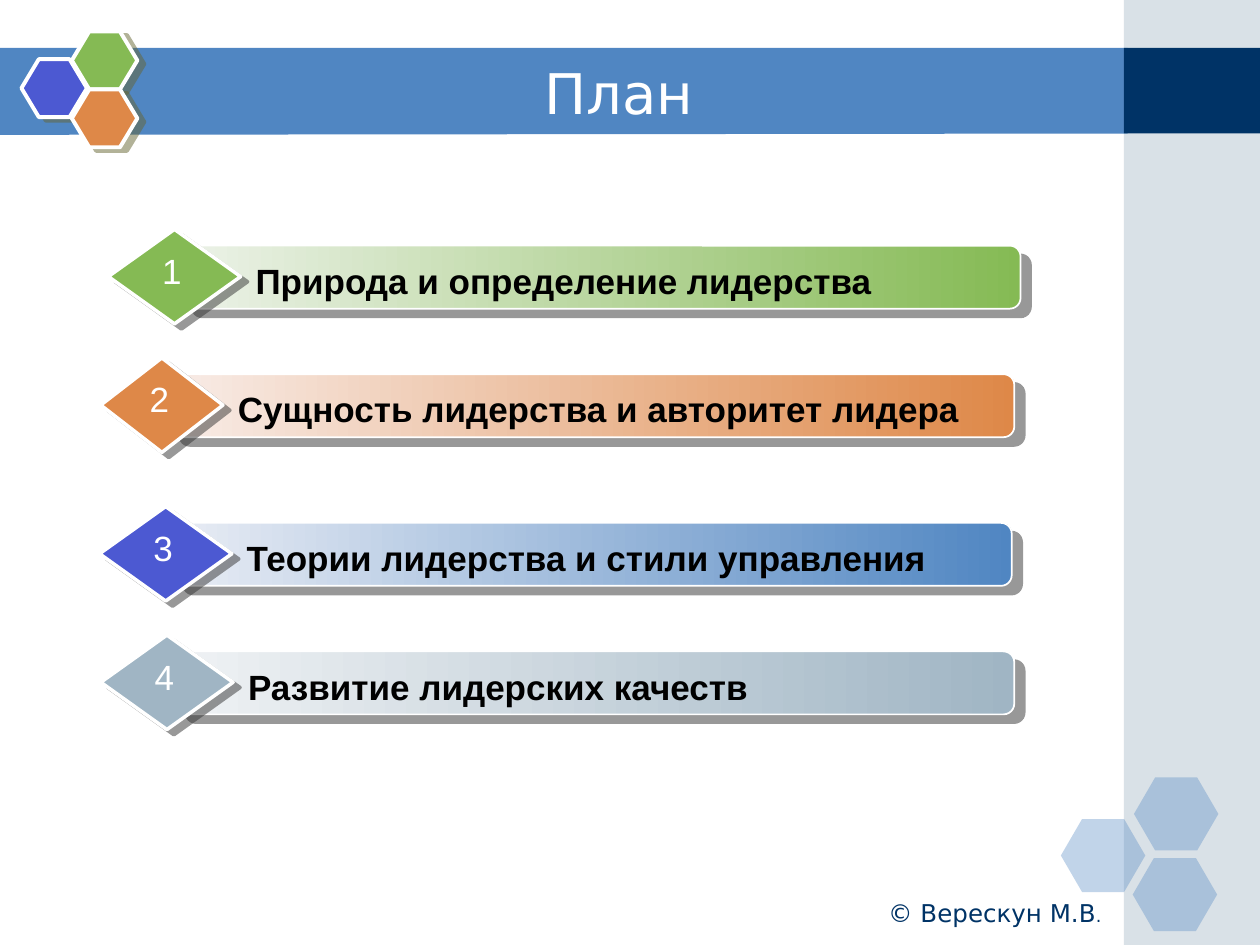
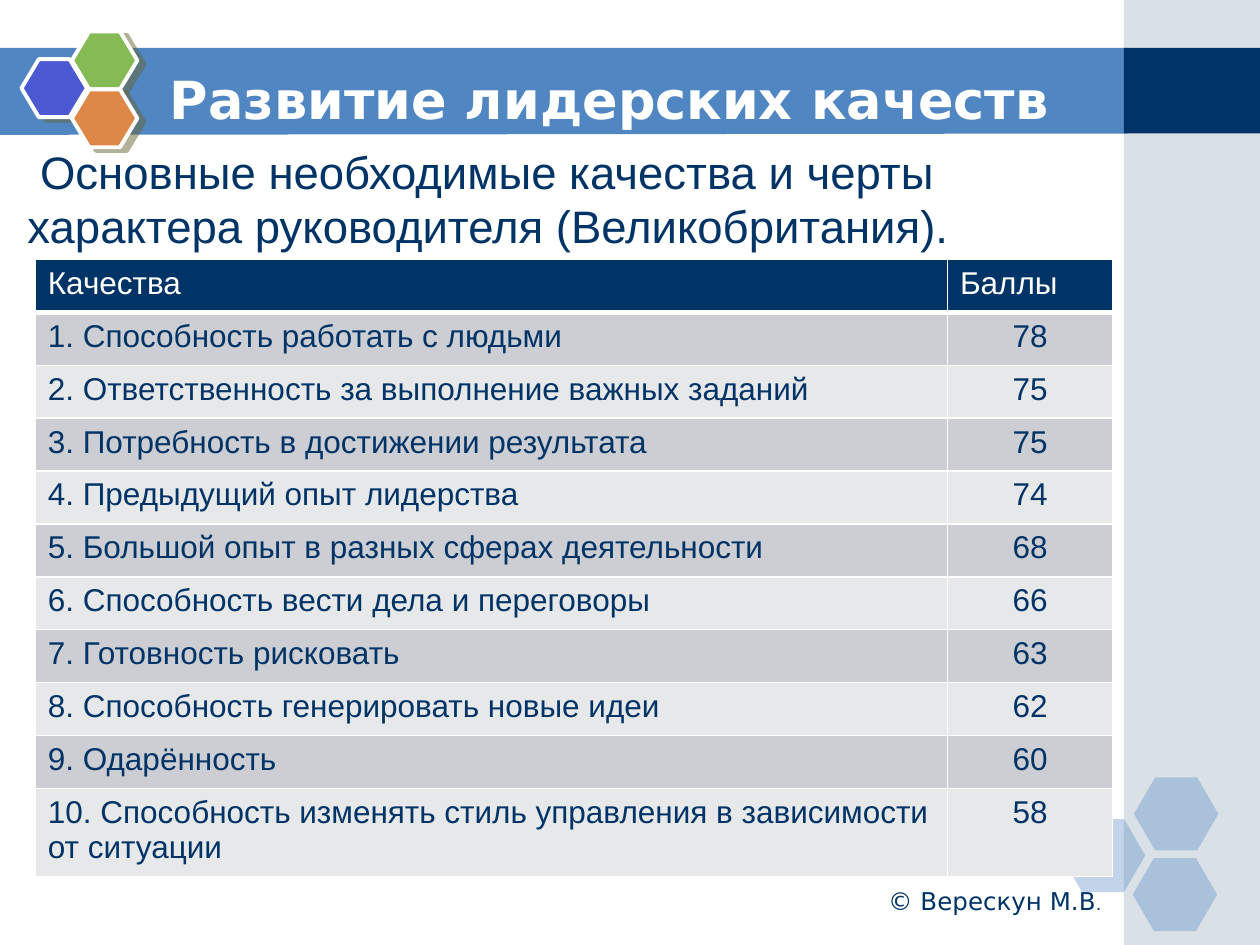
import lxml.etree
import pptx
import pptx.dml.color
import pptx.enum.shapes
import pptx.enum.text
import pptx.oxml.ns
import pptx.util

Inches = pptx.util.Inches
Pt = pptx.util.Pt
SHAPE = pptx.enum.shapes.MSO_SHAPE
ALIGN = pptx.enum.text.PP_ALIGN
ANCHOR = pptx.enum.text.MSO_ANCHOR
qn = pptx.oxml.ns.qn

COLORS = {
    "white": "FFFFFF", "black": "000000", "navy": "003366", "blue": "5086C2",
    "violet": "4C59D2", "green": "85BA54", "orange": "DE8848", "steel": "A0B5C4",
    "pale green": "ECF2E8", "pale orange": "F8ECE7", "pale blue": "E8ECF4",
    "pale steel": "EFF2F4", "dark row": "CCCED3", "light row": "E7E8EA",
    "badge shadow": "666633", "plan shadow": "333333",
}
BODY_FONT = "Arial"
TITLE_FONT = "DejaVu Sans"

# Shared parts
TITLE_BAND = [(-0.01, 0.38), (8.95, 0.38), (8.95, 1.06), (-0.01, 1.07)]
SIDE_LEFT, SIDE_WIDTH = 8.92, 1.08
CORNER_HEXAGONS = [(8.42, 6.5), (9, 6.17), (8.99, 6.81)]
BADGE_HEXAGONS = [(0.17, 0.47, "violet"), (0.57, 0.25, "green"), (0.57, 0.71, "orange")]
FOOTER = [("© Верескун М.В", 14), (".", 10)]

# Slide 1: text, bar left, top, width, diamond left, width, diamond, bar start and end colours
PLAN_TITLE = "План"
PLAN = [
    ("Природа и определение лидерства", 1.44, 1.95, 6.66, 0.86, 1.05,
     "green", "pale green", "green"),
    ("Сущность лидерства и авторитет лидера", 1.34, 2.97, 6.71, 0.8, 0.97,
     "orange", "pale orange", "orange"),
    ("Теории лидерства и стили управления", 1.37, 4.15, 6.66, 0.79, 1.05,
     "violet", "pale blue", "blue"),
    ("Развитие лидерских качеств", 1.39, 5.17, 6.66, 0.8, 1.05,
     "steel", "pale steel", "steel"),
]

# Slide 2
QUALITIES_TITLE = "Развитие лидерских качеств"
QUALITIES_INTRO = (" Основные необходимые качества и черты характера "
                   "руководителя (Великобритания).")
QUALITIES_HEADER = ("Качества", "Баллы")
QUALITIES = [
    ("Способность работать с людьми", 78),
    ("Ответственность за выполнение важных заданий", 75),
    ("Потребность в достижении результата", 75),
    ("Предыдущий опыт лидерства", 74),
    ("Большой опыт в разных сферах деятельности", 68),
    ("Способность вести дела и переговоры", 66),
    ("Готовность рисковать", 63),
    ("Способность генерировать новые идеи", 62),
    ("Одарённость", 60),
    ("Способность изменять стиль управления в зависимости от ситуации", 58),
]
COLUMN_WIDTHS = (7.24, 1.31)
ROW_HEIGHT, LAST_ROW_HEIGHT = 0.42, 0.66


def rgb(name):
    return pptx.dml.color.RGBColor.from_string(COLORS[name])


def add_color(parent, name, alpha=None):
    color = lxml.etree.SubElement(parent, qn("a:srgbClr"), val=COLORS[name])
    if alpha is not None:
        lxml.etree.SubElement(color, qn("a:alpha"), val=str(alpha * 1000))


def style_shape(shape, fill, alpha=None, fade_from=None, line=None, shadow=None):
    """Colour a shape; line is a white width, shadow is (colour, distance, angle)."""
    if fade_from:
        shape.fill.gradient()
        shape.fill.gradient_angle = 0
        for stop, name in zip(shape.fill.gradient_stops, (fade_from, fill)):
            stop.color.rgb = rgb(name)
    else:
        shape.fill.solid()
        shape.fill.fore_color.rgb = rgb(fill)
    if alpha is not None:
        color = shape.fill._xPr.find(".//" + qn("a:srgbClr"))
        lxml.etree.SubElement(color, qn("a:alpha"), val=str(alpha * 1000))
    if line:
        shape.line.color.rgb = rgb("white")
        shape.line.width = Pt(line)
    else:
        shape.line.fill.background()
    shape.shadow.inherit = False
    if shadow:
        name, distance, angle = shadow
        effects = shape._element.spPr.find(qn("a:effectLst"))
        outer = lxml.etree.SubElement(
            effects, qn("a:outerShdw"), blurRad="0", dist=str(Pt(distance)),
            dir=str(angle * 60000), algn="ctr", rotWithShape="0")
        add_color(outer, name, 50)


def add_preset(slide, kind, box, fill, corner=None, **look):
    shape = slide.shapes.add_shape(kind, *map(Inches, box))
    if corner is not None:
        shape.adjustments[0] = corner
    style_shape(shape, fill, **look)


def write(frame, text, size=18, font=BODY_FONT, color="black", bold=False,
          align=ALIGN.LEFT):
    """Fill a text frame with a string, or with (string, size) runs."""
    paragraph = frame.paragraphs[0]
    paragraph.alignment = align
    for part, part_size in [(text, size)] if isinstance(text, str) else text:
        run = paragraph.add_run()
        run.text = part
        run.font.size = Pt(part_size)
        run.font.name = font
        run.font.bold = bold
        run.font.color.rgb = rgb(color)


def add_text(slide, text, box, wrap=True, anchor=ANCHOR.TOP, **text_format):
    frame = slide.shapes.add_textbox(*map(Inches, box)).text_frame
    frame.word_wrap = wrap
    frame.vertical_anchor = anchor
    write(frame, text, **text_format)


def add_base_slide(deck):
    """Add a slide with the title band, side strip and hexagons."""
    slide = deck.slides.add_slide(deck.slide_layouts[6])
    start, *rest = [(Inches(x), Inches(y)) for x, y in TITLE_BAND]
    band = slide.shapes.build_freeform(*start)
    band.add_line_segments(rest, close=True)
    style_shape(band.convert_to_shape(), "blue")
    add_preset(slide, SHAPE.RECTANGLE, (SIDE_LEFT, 0, SIDE_WIDTH, 7.5), "steel", alpha=40)
    add_preset(slide, SHAPE.RECTANGLE, (SIDE_LEFT, 0.38, SIDE_WIDTH, 0.68), "navy")
    for left, top in CORNER_HEXAGONS:
        add_preset(slide, SHAPE.HEXAGON, (left, top, 0.67, 0.58), "blue",
                   corner=0.29, alpha=35)
    for left, top, fill in BADGE_HEXAGONS:
        add_preset(slide, SHAPE.HEXAGON, (left, top, 0.52, 0.46), fill,
                   corner=0.3, line=2.25, shadow=("badge shadow", 4.5, 27))
    return slide


def add_title(slide, text, height, **text_format):
    add_text(slide, text, (1.25, 0.42, 7.33, height), anchor=ANCHOR.MIDDLE,
             font=TITLE_FONT, color="white", **text_format)


def add_footer(slide, top, height):
    add_text(slide, FOOTER, (5.67, top, 3.17, height), font=TITLE_FONT,
             color="navy", align=ALIGN.RIGHT)


def add_plan_item(slide, number, item):
    text, left, top, width, diamond_left, diamond_width, diamond, start, end = item
    add_preset(slide, SHAPE.ROUNDED_RECTANGLE, (left, top, width, 0.5), end,
               corner=0.17, fade_from=start, line=1, shadow=("plan shadow", 7.8, 40))
    add_preset(slide, SHAPE.DIAMOND, (diamond_left, top - 0.13, diamond_width, 0.75),
               diamond, line=2, shadow=("plan shadow", 5, 37))
    text_left = diamond_left + diamond_width + 0.02
    add_text(slide, text, (text_left, top + 0.06, left + width - text_left, 0.44),
             size=20, bold=True)
    number_left = diamond_left + diamond_width / 2 - 0.2
    add_text(slide, str(number), (number_left, top - 0.02, 0.36, 0.44), wrap=False,
             size=20, color="white", align=ALIGN.CENTER)


def style_cell(cell, fill, bottom_width):
    properties = cell._tc.get_or_add_tcPr()
    for side, width in (("L", 1), ("R", 1), ("T", 1), ("B", bottom_width)):
        border = lxml.etree.SubElement(properties, qn("a:ln" + side), w=str(Pt(width)))
        add_color(lxml.etree.SubElement(border, qn("a:solidFill")), "white")
    cell.fill.solid()
    cell.fill.fore_color.rgb = rgb(fill)


def add_qualities_table(slide):
    rows = [QUALITIES_HEADER]
    rows += [(f"{i}. {name}", str(score)) for i, (name, score) in enumerate(QUALITIES, 1)]
    height = ROW_HEIGHT * len(QUALITIES) + LAST_ROW_HEIGHT
    table = slide.shapes.add_table(
        len(rows), len(COLUMN_WIDTHS), Inches(0.28), Inches(2.06),
        Inches(sum(COLUMN_WIDTHS)), Inches(height)).table
    table.horz_banding = False
    for column, width in zip(table.columns, COLUMN_WIDTHS):
        column.width = Inches(width)
    for r, values in enumerate(rows):
        is_header = r == 0
        is_last = r == len(rows) - 1
        table.rows[r].height = Inches(LAST_ROW_HEIGHT if is_last else ROW_HEIGHT)
        fill = "navy" if is_header else "dark row" if r % 2 else "light row"
        for c, value in enumerate(values):
            cell = table.cell(r, c)
            style_cell(cell, fill, 3 if is_header else 1)
            write(cell.text_frame, value, color="white" if is_header else "navy",
                  align=ALIGN.CENTER if c and not is_header else ALIGN.LEFT)


def main():
    deck = pptx.Presentation()
    deck.slide_width, deck.slide_height = Inches(10), Inches(7.5)

    plan = add_base_slide(deck)
    add_footer(plan, 7.08, 0.26)
    add_title(plan, PLAN_TITLE, 0.62, size=32, align=ALIGN.CENTER)
    for number, item in enumerate(PLAN, 1):
        add_plan_item(plan, number, item)

    qualities = add_base_slide(deck)
    add_title(qualities, QUALITIES_TITLE, 0.73, size=30, bold=True)
    add_text(qualities, QUALITIES_INTRO, (0.12, 1.09, 8.9, 0.95), size=26, color="navy")
    add_footer(qualities, 6.98, 0.36)
    add_qualities_table(qualities)

    deck.save("out.pptx")


if __name__ == "__main__":
    main()
